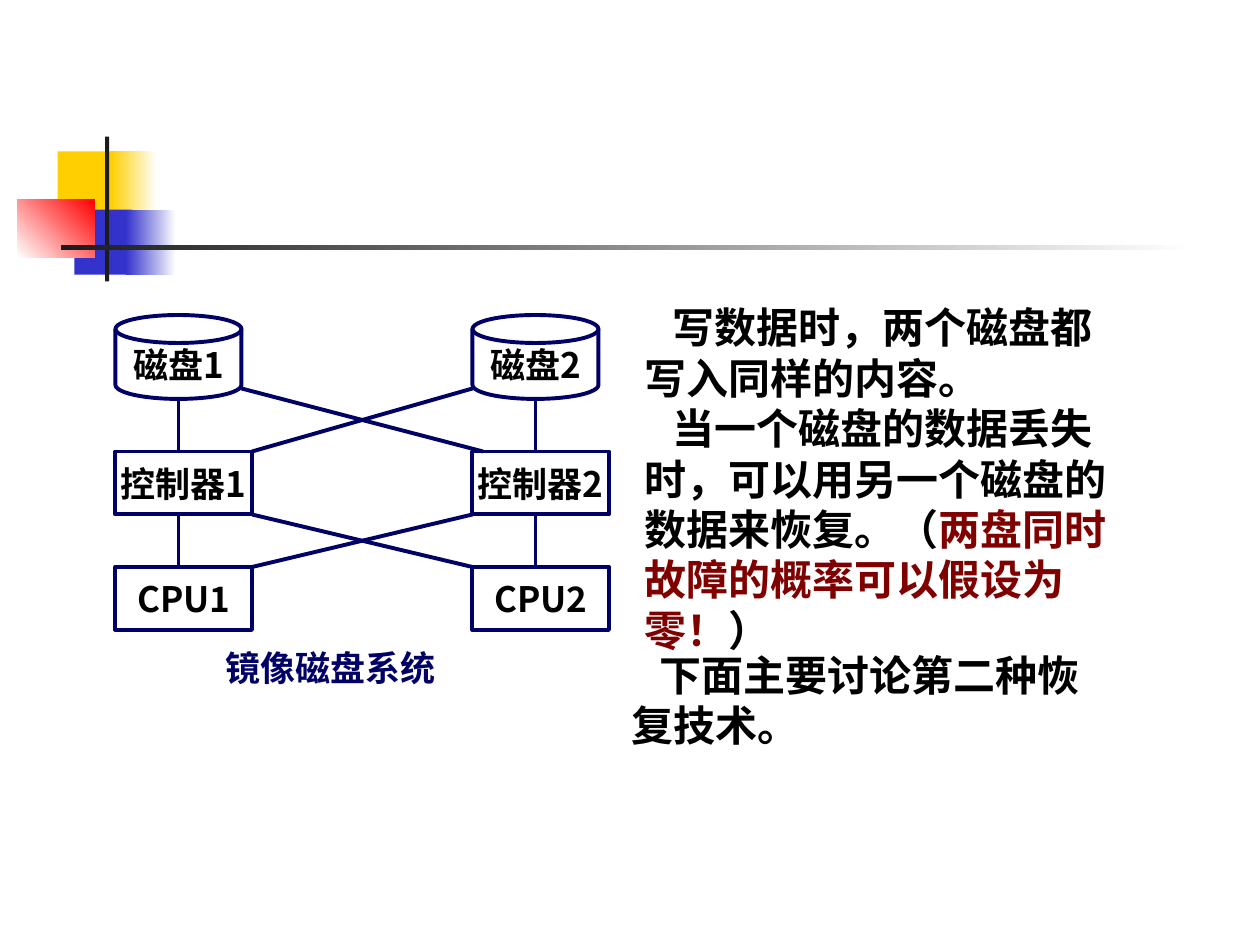
from dataclasses import dataclass

from lxml import etree
from pptx import Presentation
from pptx.dml.color import RGBColor
from pptx.enum.shapes import MSO_CONNECTOR, MSO_SHAPE
from pptx.enum.text import MSO_ANCHOR, MSO_AUTO_SIZE, PP_ALIGN
from pptx.oxml.ns import qn
from pptx.util import Pt

RECT = MSO_SHAPE.RECTANGLE
DISK = MSO_SHAPE.FLOWCHART_MAGNETIC_DISK
STRAIGHT = MSO_CONNECTOR.STRAIGHT
MIDDLE = MSO_ANCHOR.MIDDLE
CENTER = PP_ALIGN.CENTER
GROW = MSO_AUTO_SIZE.SHAPE_TO_FIT_TEXT


@dataclass(frozen=True)
class Theme:
    font: str = "Noto Sans CJK SC"
    body_size: float = 24
    label_size: float = 20
    line_width: float = 2.25
    text: str = "000000"
    emphasis: str = "800000"
    navy: str = "000066"
    white: str = "FFFFFF"
    yellow: str = "FFCF01"
    blue: str = "3333CC"
    red: str = "FF0000"
    rule: str = "1C1C1C"


THEME = Theme()


def rgb(color):
    return RGBColor.from_string(color)


def format_run(run, size, color):
    run.font.size = Pt(size)
    run.font.bold = True
    run.font.color.rgb = rgb(color)
    run.font.name = THEME.font
    east_asian = etree.SubElement(run.font._element, qn("a:ea"))
    east_asian.set("typeface", THEME.font)


def add_block(shapes, box, colors, angle=0):
    """Borderless rectangle, solid for one colour and a gradient for two."""
    block = shapes.add_shape(RECT, *map(Pt, box))
    block.shadow.inherit = False
    block.line.fill.background()
    if len(colors) == 1:
        block.fill.solid()
        block.fill.fore_color.rgb = rgb(colors[0])
        return
    block.fill.gradient()
    block.fill.gradient_angle = angle
    for stop, color, position in zip(block.fill.gradient_stops, colors, (0, 1)):
        stop.color.rgb = rgb(color)
        stop.position = position


def add_node(shapes, kind, box, label):
    node = shapes.add_shape(kind, *map(Pt, box))
    node.shadow.inherit = False
    node.fill.background()
    node.line.color.rgb = rgb(THEME.navy)
    node.line.width = Pt(THEME.line_width)
    frame = node.text_frame
    frame.text = label
    frame.word_wrap = False
    frame.vertical_anchor = MIDDLE
    frame.paragraphs[0].alignment = CENTER
    format_run(frame.paragraphs[0].runs[0], THEME.label_size, THEME.text)


def add_link(shapes, start, end):
    link = shapes.add_connector(STRAIGHT, *map(Pt, start + end))
    link.line.color.rgb = rgb(THEME.navy)
    link.line.width = Pt(THEME.line_width)
    etree.SubElement(link._element.spPr, qn("a:effectLst"))


def add_text(shapes, box, paragraphs, size):
    """Each paragraph is a first-line indent and a list of (text, colour)."""
    frame = shapes.add_textbox(*map(Pt, box)).text_frame
    frame.word_wrap = True
    frame.auto_size = GROW
    for index, (indent, parts) in enumerate(paragraphs):
        paragraph = frame.paragraphs[0] if index == 0 else frame.add_paragraph()
        properties = paragraph._p.get_or_add_pPr()
        properties.set("marL", "0")
        properties.set("indent", str(Pt(indent)))
        for text, color in parts:
            run = paragraph.add_run()
            run.text = text
            format_run(run, size, color)


def add_ornament(shapes):
    add_block(shapes, (33, 86.5, 34.5, 37.5), [THEME.yellow])
    add_block(shapes, (63.5, 86.5, 26, 37.5), [THEME.yellow, THEME.white])
    add_block(shapes, (42.5, 119.8, 33, 37.2), [THEME.blue])
    add_block(shapes, (72, 119.8, 28.5, 37.2), [THEME.blue, THEME.white])
    add_block(shapes, (10, 113.8, 44, 33.2), [THEME.white, THEME.red], 45)
    add_block(shapes, (60, 78, 2.4, 82.8), [THEME.rule])
    add_block(shapes, (34.8, 140.2, 648, 2.4), [THEME.rule, THEME.white])


def add_mirror_diagram(shapes):
    left, right = 66, 270
    disk_width, disk_height, box_width, box_height = 72, 48, 78, 36
    disk_top, controller_top, cpu_top = 180, 258, 324
    disk_bottom = disk_top + disk_height
    disk_edge = disk_bottom - 6
    controller_bottom = controller_top + box_height
    left_edge = left + box_width

    # Disks, controllers and processors, one column per mirror side
    for number, x in enumerate((left, right), 1):
        add_node(shapes, DISK, (x, disk_top, disk_width, disk_height), f"磁盘{number}")
        for top, name in ((controller_top, "控制器"), (cpu_top, "CPU")):
            add_node(shapes, RECT, (x, top, box_width, box_height), f"{name}{number}")
        axis = x + disk_width / 2
        add_link(shapes, (axis, disk_bottom), (axis, controller_top))
        add_link(shapes, (axis, controller_bottom), (axis, cpu_top))

    # Cross links between the two sides
    add_link(shapes, (left + disk_width, disk_edge), (right + 6, controller_top))
    add_link(shapes, (right, disk_edge), (left_edge, controller_top))
    add_link(shapes, (left_edge, controller_bottom), (right, cpu_top))
    add_link(shapes, (left_edge, cpu_top), (right, controller_bottom))

    # Caption
    caption = [(13.5, [("镜像磁盘系统", THEME.navy)])]
    add_text(shapes, (108, 366, 234, 31.5), caption, THEME.label_size)


def add_explanation(shapes):
    indent = 16
    recovery = [
        (indent, [("写数据时，两个磁盘都写入同样的内容。", THEME.text)]),
        (indent, [
            ("当一个磁盘的数据丢失时，可以用另一个磁盘的数据来恢复。（", THEME.text),
            ("两盘同时故障的概率可以假设为零！", THEME.emphasis),
            ("）", THEME.text),
        ]),
    ]
    next_topic = [
        (indent, [("下面主要讨论第二种恢", THEME.text)]),
        (0, [("复技术。", THEME.text)]),
    ]
    add_text(shapes, (361, 169, 281, 209), recovery, THEME.body_size)
    add_text(shapes, (354, 367.5, 378, 65), next_topic, THEME.body_size)


def main():
    deck = Presentation()
    deck.slide_width, deck.slide_height = Pt(720), Pt(540)
    blank = deck.slide_layouts[6]
    shapes = deck.slides.add_slide(blank).shapes
    add_ornament(shapes)
    add_mirror_diagram(shapes.add_group_shape().shapes)
    add_explanation(shapes)
    deck.save("out.pptx")


if __name__ == "__main__":
    main()
